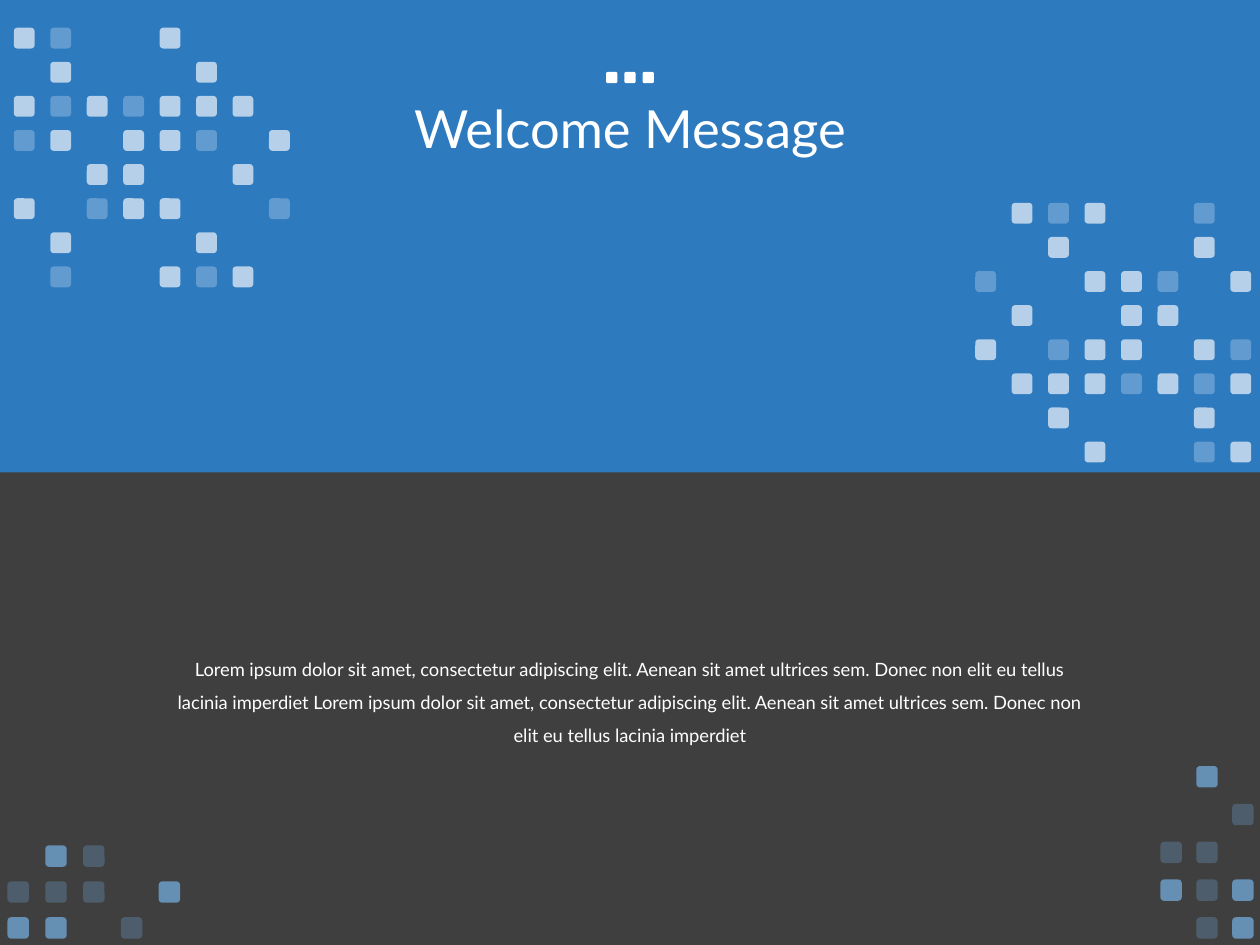
from pptx import Presentation
from pptx.dml.color import RGBColor
from pptx.enum.shapes import MSO_SHAPE as Shape
from pptx.enum.text import MSO_ANCHOR as Anchor, MSO_AUTO_SIZE as Fit, PP_ALIGN as Align
from pptx.oxml.ns import qn
from pptx.util import Inches, Pt
from lxml.etree import SubElement

WIDE, HIGH = Inches(10), Inches(7.5)
COL, ROW = WIDE / 100, HIGH / 75

WHITE = RGBColor(0xFF, 0xFF, 0xFF)
BLUE = RGBColor(0x27, 0x8F, 0xEA)
SKY = RGBColor(0x7A, 0xBA, 0xF2)
DARK = RGBColor(0x3F, 0x3F, 0x3F)
FONT = "Lato"
ALPHA = {"#": 65, "+": 25, "@": 100}

DOTS = ["@@@"]
LEFT = ["#+..#...", ".#...#..", "#+#+###.", "+#.##+.#",
        "..##..#.", "#.+##..+", ".#...#..", ".+..#+#."]
RIGHT = [".#+#..+.", "..#...#.", "+..##+.#", ".#..##..",
         "#.+##.#+", ".###+#+#", "..#...#.", "...#..+#"]
LOW_LEFT = [".#+..", "+++.#", "##.+."]
LOW_RIGHT = [".#.", "..+", "++.", "#+#", ".+#"]
LOREM = ("Lorem ipsum dolor sit amet, consectetur adipiscing elit. "
         "Aenean sit amet ultrices sem. Donec non elit eu tellus lacinia imperdiet")


def scale(box):
    x, y, w, h = box
    return round(x * COL), round(y * ROW), round(w * COL), round(h * ROW)


def block(shapes, kind, box, color, alpha):
    shape = shapes.add_shape(kind, *scale(box))
    shape.shadow.inherit = False
    shape.line.fill.background()
    shape.fill.solid()
    shape.fill.fore_color.rgb = color
    if alpha < 100:
        tint = shape.fill._xPr.find(qn("a:solidFill"))[0]
        SubElement(tint, qn("a:alpha")).set("val", str(alpha * 1000))
    return shape


def tiles(slide, box, size, rows, color):
    x, y, w, h = box
    step_x = (w - size) / max(len(rows[0]) - 1, 1)
    step_y = (h - size) / max(len(rows) - 1, 1)
    group = slide.shapes.add_group_shape()
    for r, row in enumerate(rows):
        for c, mark in enumerate(row):
            if mark in ALPHA:
                spot = (x + c * step_x, y + r * step_y, size, size)
                block(group.shapes, Shape.ROUNDED_RECTANGLE, spot, color, ALPHA[mark])


def write(frame, text, size, gap):
    frame.word_wrap = True
    para = frame.paragraphs[0]
    para.alignment = Align.CENTER
    para.line_spacing = gap
    run = para.add_run()
    run.text = text
    run.font.name = FONT
    run.font.size = Pt(size)
    run.font.color.rgb = WHITE


def header(slide, box):
    x, y, w, h = box
    band = block(slide.shapes, Shape.RECTANGLE, box, BLUE, 75)
    title = slide.shapes.title
    title.element.addprevious(band.element)
    title.left, title.top, title.width, title.height = scale(
        (x + 6.9, y + 3.2, w - 13.8, 14.5))
    frame = title.text_frame
    frame.auto_size = Fit.NONE
    frame.vertical_anchor = Anchor.MIDDLE
    write(frame, "Welcome Message", 30, 0.9)
    tiles(slide, (x + 48.1, y + 5.7, 3.8, 0.9), 0.9, DOTS, WHITE)
    tiles(slide, (x + 1.1, y + 2.2, 21.9, 20.6), 1.65, LEFT, WHITE)
    tiles(slide, (x + 77.4, y + 16.1, 21.9, 20.6), 1.65, RIGHT, WHITE)


def footer(slide, box):
    x, y, w, h = box
    text = slide.shapes.add_textbox(*scale((x + 13, y + 13.4, w - 26, 8.6)))
    write(text.text_frame, f"{LOREM} {LOREM}", 10.5, 1.5)
    text.text_frame.auto_size = Fit.SHAPE_TO_FIT_TEXT
    tiles(slide, (x + 0.6, y + 29.6, 13.7, 7.4), 1.7, LOW_LEFT, SKY)
    tiles(slide, (x + 92.1, y + 23.3, 7.4, 13.7), 1.7, LOW_RIGHT, SKY)


def main():
    deck = Presentation()
    deck.slide_width, deck.slide_height = WIDE, HIGH
    slide = deck.slides.add_slide(deck.slide_layouts[5])
    slide.background.fill.solid()
    slide.background.fill.fore_color.rgb = DARK
    header(slide, (0, 0, 100, 37.5))
    footer(slide, (0, 37.5, 100, 37.5))
    deck.save("out.pptx")


if __name__ == "__main__":
    main()
